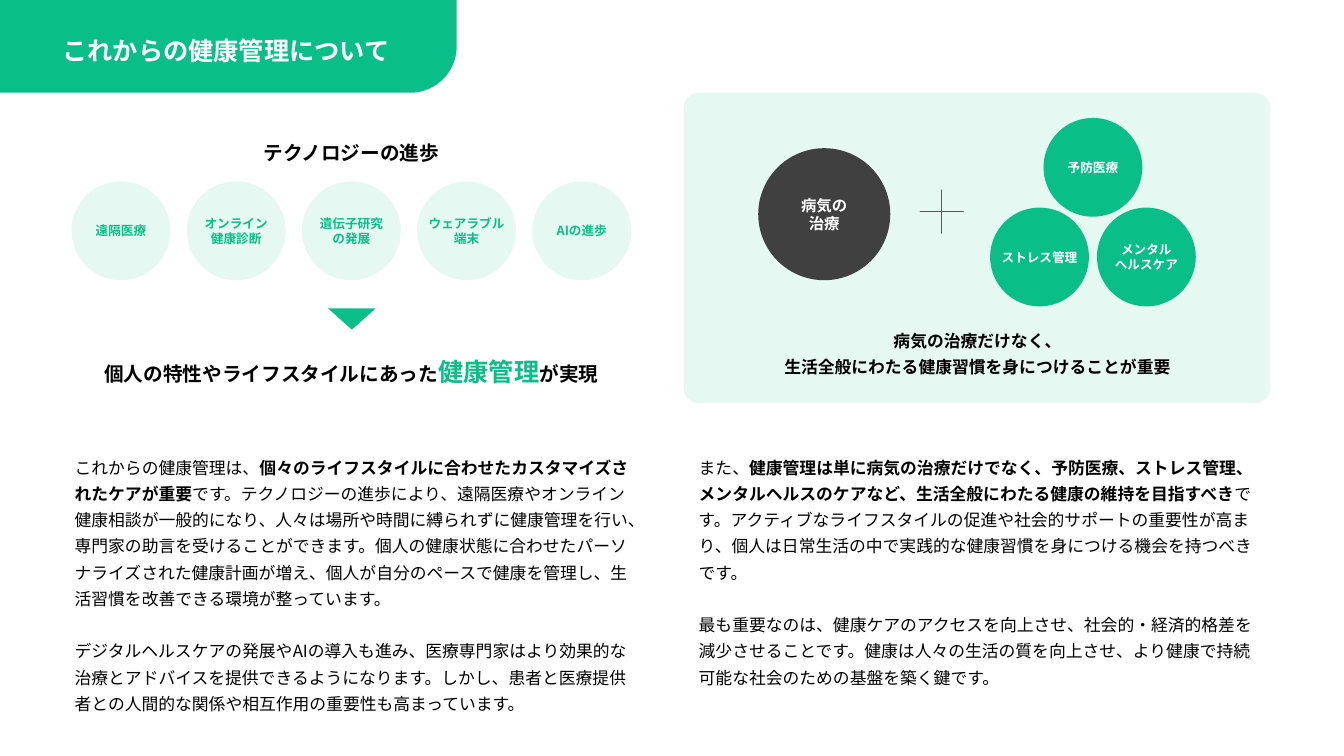
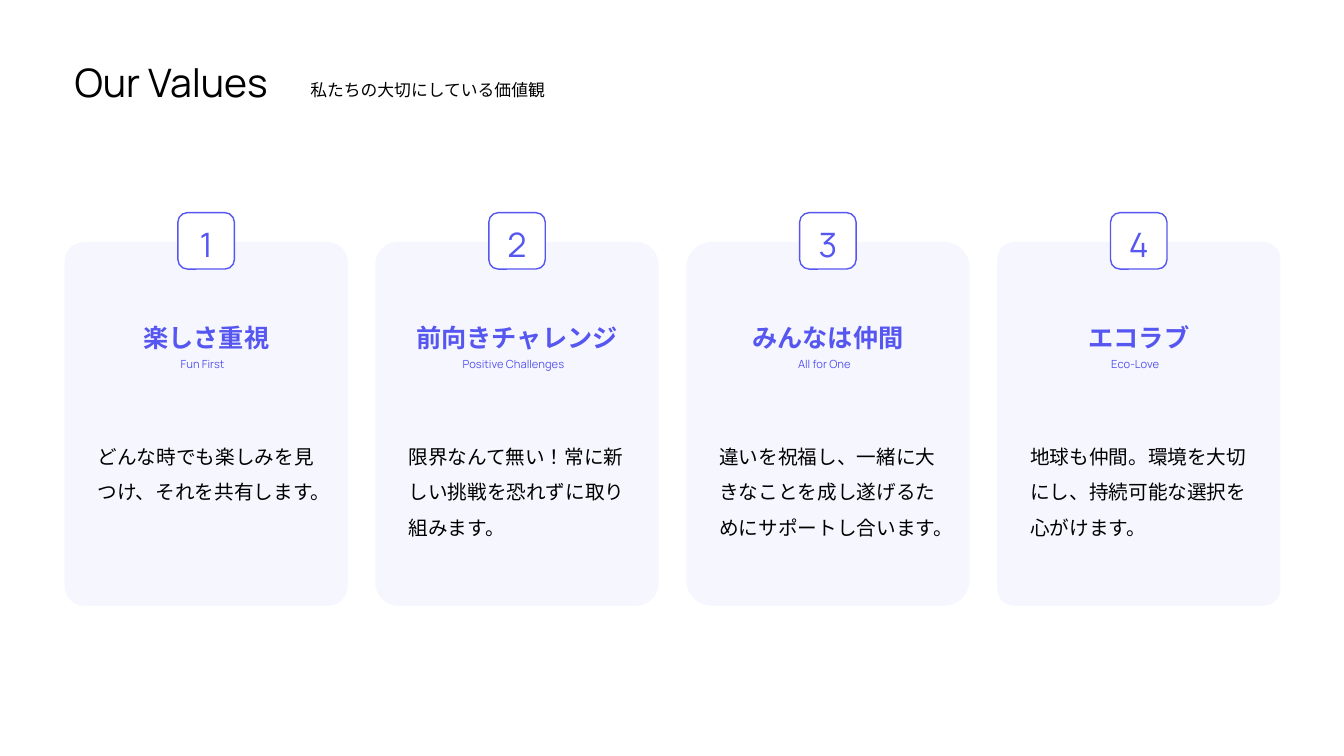
from dataclasses import dataclass, replace

from lxml import etree
from pptx import Presentation
from pptx.dml.color import RGBColor
from pptx.enum.lang import MSO_LANGUAGE_ID
from pptx.enum.shapes import MSO_SHAPE
from pptx.enum.text import MSO_ANCHOR, MSO_AUTO_SIZE, PP_ALIGN
from pptx.oxml.ns import qn
from pptx.util import Inches, Pt

LEFT, CENTER = PP_ALIGN.LEFT, PP_ALIGN.CENTER
TOP, MIDDLE = MSO_ANCHOR.TOP, MSO_ANCHOR.MIDDLE
FIXED = MSO_AUTO_SIZE.NONE
JAPANESE = MSO_LANGUAGE_ID.JAPANESE
OVAL, ROUNDED = MSO_SHAPE.OVAL, MSO_SHAPE.ROUNDED_RECTANGLE
BAND, TRIANGLE, PLUS = MSO_SHAPE.ROUND_1_RECTANGLE, MSO_SHAPE.ISOSCELES_TRIANGLE, MSO_SHAPE.MATH_PLUS
TWO_CONTENT, TITLE_ONLY = 3, 5


@dataclass(frozen=True)
class Style:
    size: int
    color: str = "000000"
    bold: bool = False
    font: str = "Noto Sans CJK JP"


class Theme:
    GREEN, VIOLET, WHITE = "09BF87", "5656F0", "FFFFFF"
    DARK, RULE = "404040", "595959"
    EAST_ASIAN = "Noto Sans CJK JP"
    # Health slide
    BAND_TITLE = Style(18, WHITE, True)
    HEADING = Style(14, bold=True)
    ACCENT = Style(18, GREEN, True)
    BODY = Style(12)
    STRONG = Style(12, bold=True)
    TOPIC = Style(9, GREEN, True)
    CARE = Style(9, WHITE, True)
    CURE = Style(11, WHITE, True)
    # Values slide
    TITLE = Style(28, font="Manrope")
    SUBTITLE = Style(12, font="Karla")
    VALUE = Style(18, VIOLET, True, "Karla")
    ENGLISH = Style(8, VIOLET, font="Manrope")
    NUMBER = Style(24, VIOLET, font="Manrope")
    DETAIL = Style(14, font="Karla")


def rgb(value):
    return RGBColor.from_string(value)


def format_run(r, style):
    f = r.font
    f.size, f.bold, f.name = Pt(style.size), style.bold, style.font
    f.color.rgb = rgb(style.color)
    f.language_id = JAPANESE
    latin = r._r.find(qn("a:rPr")).find(qn("a:latin"))
    ea = etree.Element(qn("a:ea"), typeface=Theme.EAST_ASIAN)
    latin.addnext(ea)


def write(tf, content, style, align=LEFT, spacing=1.0, gap=0):
    """Content is a string, or paragraphs that are lists of (text, style) runs."""
    tf.auto_size = FIXED
    if isinstance(content, str):
        tf.text = content
        for p in tf.paragraphs:
            for r in p.runs:
                format_run(r, style)
    else:
        for i, parts in enumerate(content):
            p = tf.add_paragraph() if i else tf.paragraphs[0]
            for text, run_style in parts:
                r = p.add_run()
                r.text = text
                format_run(r, run_style)
    for i, p in enumerate(tf.paragraphs):
        p.alignment, p.line_spacing = align, spacing
        p.space_before = Pt(gap if i else 0)


def move(shape, box):
    shape.left, shape.top, shape.width, shape.height = (Inches(v) for v in box)


def add_text(s, box, content, style, align=LEFT, spacing=1.0):
    tf = s.shapes.add_textbox(*(Inches(v) for v in box)).text_frame
    tf.word_wrap = True
    write(tf, content, style, align, spacing)


def add_title(s, box, text, style, wrap=True):
    title = s.shapes.title
    move(title, box)
    tf = title.text_frame
    tf.word_wrap, tf.vertical_anchor = wrap, TOP
    write(tf, text, style)
    return title


def fill_body(body, box, content):
    move(body, box)
    write(body.text_frame, content, Theme.BODY, spacing=1.3, gap=18.8)
    for p in body.text_frame.paragraphs:
        pPr = p._p.get_or_add_pPr()
        pPr.set("marL", "0")
        pPr.set("indent", "0")
        etree.SubElement(pPr, qn("a:buNone"))


def add_shape(shapes, kind, box, fill, alpha=None, line=None, adj=None):
    shape = shapes.add_shape(kind, *(Inches(v) for v in box))
    shape.shadow.inherit = False
    shape.fill.solid()
    shape.fill.fore_color.rgb = rgb(fill)
    if alpha:
        color = shape.element.spPr.find(qn("a:solidFill")).find(qn("a:srgbClr"))
        etree.SubElement(color, qn("a:alpha"), val=str(alpha * 1000))
    if line:
        shape.line.color.rgb = rgb(line)
        shape.line.width = Pt(1)
    else:
        shape.line.fill.background()
    if adj is not None:
        shape.adjustments[0] = adj
    return shape


def add_circle(shapes, x, y, size, text, style, fill, alpha=None):
    tf = add_shape(shapes, OVAL, (x, y, size, size), fill, alpha).text_frame
    tf.word_wrap, tf.vertical_anchor = False, MIDDLE
    write(tf, text, style, CENTER)


# Health slide

CIRCLE = 0.98
TOPICS = ["遠隔医療", "オンライン\n健康診断", "遺伝子研究\nの発展", "ウェアラブル\n端末", "AIの進歩"]
CARES = [("予防医療", 0.53, 0), ("ストレス管理", 0, 0.89), ("メンタル\nヘルスケア", 1.06, 0.89)]
LEFT_BODY = [
    [("これからの健康管理は、", Theme.BODY),
     ("個々のライフスタイルに合わせたカスタマイズされたケアが重要", Theme.STRONG),
     ("です。テクノロジーの進歩により、遠隔医療やオンライン健康相談が一般的になり、"
      "人々は場所や時間に縛られずに健康管理を行い、専門家の助言を受けることができます。"
      "個人の健康状態に合わせたパーソナライズされた健康計画が増え、"
      "個人が自分のペースで健康を管理し、生活習慣を改善できる環境が整っています。", Theme.BODY)],
    [("デジタルヘルスケアの発展やAIの導入も進み、医療専門家はより効果的な治療と"
      "アドバイスを提供できるようになります。しかし、患者と医療提供者との人間的な関係や"
      "相互作用の重要性も高まっています。", Theme.BODY)],
]
RIGHT_BODY = [
    [("また、", Theme.BODY),
     ("健康管理は単に病気の治療だけでなく、予防医療、ストレス管理、"
      "メンタルヘルスのケアなど、生活全般にわたる健康の維持を目指すべき", Theme.STRONG),
     ("です。アクティブなライフスタイルの促進や社会的サポートの重要性が高まり、"
      "個人は日常生活の中で実践的な健康習慣を身につける機会を持つべきです。", Theme.BODY)],
    [("最も重要なのは、健康ケアのアクセスを向上させ、社会的・経済的格差を減少させることです。"
      "健康は人々の生活の質を向上させ、より健康で持続可能な社会のための基盤を築く鍵です。",
      Theme.BODY)],
]


def title_band(s, box, text):
    x, y, w, h = box
    title = add_title(s, (x + 0.52, y + 0.3, w + 0.23, 0.4), text, Theme.BAND_TITLE)
    band = add_shape(s.shapes, BAND, box, Theme.GREEN, adj=0.5)
    band.rotation = 180
    band.element.spPr.find(qn("a:xfrm")).set("flipH", "1")
    title.element.addprevious(band.element)


def technology_region(s, box):
    x, y, w, h = box
    mid = x + w / 2
    add_text(s, (mid - 1.24, y, 2.48, 0.38), "テクノロジーの進歩", Theme.HEADING, CENTER, 1.3)
    # Row of topics
    row = s.shapes.add_group_shape().shapes
    pitch = (w - CIRCLE) / (len(TOPICS) - 1)
    for i, topic in enumerate(TOPICS):
        add_circle(row, x + i * pitch, y + 0.52, CIRCLE, topic, Theme.TOPIC, Theme.GREEN, 10)
    # Arrow and conclusion
    add_shape(s.shapes, TRIANGLE, (mid - 0.23, y + 1.78, 0.47, 0.21), Theme.GREEN).rotation = 180
    add_text(s, (mid - 2.65, y + 2.12, 5.3, 0.46),
             [[("個人の特性やライフスタイルにあった", Theme.HEADING),
               ("健康管理", Theme.ACCENT), ("が実現", Theme.HEADING)]],
             Theme.HEADING, CENTER, 1.3)


def care_panel(s, box):
    x, y, w, h = box
    add_shape(s.shapes, ROUNDED, box, Theme.GREEN, 10, adj=0.05)
    add_circle(s.shapes, x + 0.74, y + 0.55, 1.31, "病気の\n治療", Theme.CURE, Theme.DARK)
    add_shape(s.shapes, PLUS, (x + 2.27, y + 0.89, 0.58, 0.58), Theme.RULE, line=Theme.RULE, adj=0)
    # Cluster of three kinds of care
    cluster = s.shapes.add_group_shape().shapes
    for care, dx, dy in CARES:
        add_circle(cluster, x + 3.04 + dx, y + 0.25 + dy, CIRCLE, care, Theme.CARE, Theme.GREEN)
    add_text(s, (x + 0.79, y + 2.25, 4.25, 0.6),
             "病気の治療だけなく、\n生活全般にわたる健康習慣を身につけることが重要",
             Theme.STRONG, CENTER, 1.3)


def health_slide(prs):
    s = prs.slides.add_slide(prs.slide_layouts[TWO_CONTENT])
    title_band(s, (0, 0, 4.53, 0.92), "これからの健康管理について")
    technology_region(s, (0.71, 1.28, 5.55, 2.58))
    care_panel(s, (6.78, 0.92, 5.82, 3.08))
    fill_body(s.placeholders[1], (0.64, 4.43, 5.75, 2.7), LEFT_BODY)
    fill_body(s.placeholders[2], (6.83, 4.43, 5.75, 2.44), RIGHT_BODY)


# Values slide

# Name, English name, detail, corner rounding
VALUES = [
    ("楽しさ重視", "Fun First", "どんな時でも楽しみを見つけ、それを共有します。", 0.07),
    ("前向きチャレンジ", "Positive Challenges",
     "限界なんて無い！常に新しい挑戦を恐れずに取り組みます。", 0.08),
    ("みんなは仲間", "All for One",
     "違いを祝福し、一緒に大きなことを成し遂げるためにサポートし合います。", 0.09),
    ("エコラブ", "Eco-Love", "地球も仲間。環境を大切にし、持続可能な選択を心がけます。", 0.06),
]


def value_card(s, box, number, name, english, detail, rounding):
    x, y, w, h = box
    badge = 0.56
    add_shape(s.shapes, ROUNDED, box, Theme.VIOLET, 5, adj=rounding)
    add_text(s, (x + 0.2, y + 0.75, w - 0.4, 0.4), name, Theme.VALUE, CENTER)
    add_text(s, (x + 0.69, y + 1.1, 1.36, 0.24), english, Theme.ENGLISH, CENTER)
    add_text(s, (x + 0.23, y + 1.85, 2.36, 1.13), detail, Theme.DETAIL, spacing=1.5)
    # Number badge on the top edge
    tf = add_shape(s.shapes, ROUNDED, (x + (w - badge) / 2, y - 0.29, badge, badge),
                   Theme.WHITE, line=Theme.VIOLET).text_frame
    tf.margin_top, tf.vertical_anchor = Inches(0.12), MIDDLE
    write(tf, str(number), Theme.NUMBER, CENTER)


def values_slide(prs):
    s = prs.slides.add_slide(prs.slide_layouts[TITLE_ONLY])
    add_title(s, (0.64, 0.53, 2.34, 0.57), "Our Values", Theme.TITLE, wrap=False)
    add_text(s, (2.98, 0.74, 4.2, 0.3), "私たちの大切にしている価値観", Theme.SUBTITLE)
    left, width, card_w = 0.64, 12.06, 2.81
    pitch = (width - card_w) / (len(VALUES) - 1)
    for i, value in enumerate(VALUES):
        value_card(s, (left + i * pitch, 2.4, card_w, 3.61), i + 1, *value)


def main():
    prs = Presentation()
    prs.slide_width, prs.slide_height = Inches(13.33), Inches(7.5)
    health_slide(prs)
    values_slide(prs)
    prs.save("out.pptx")


if __name__ == "__main__":
    main()
